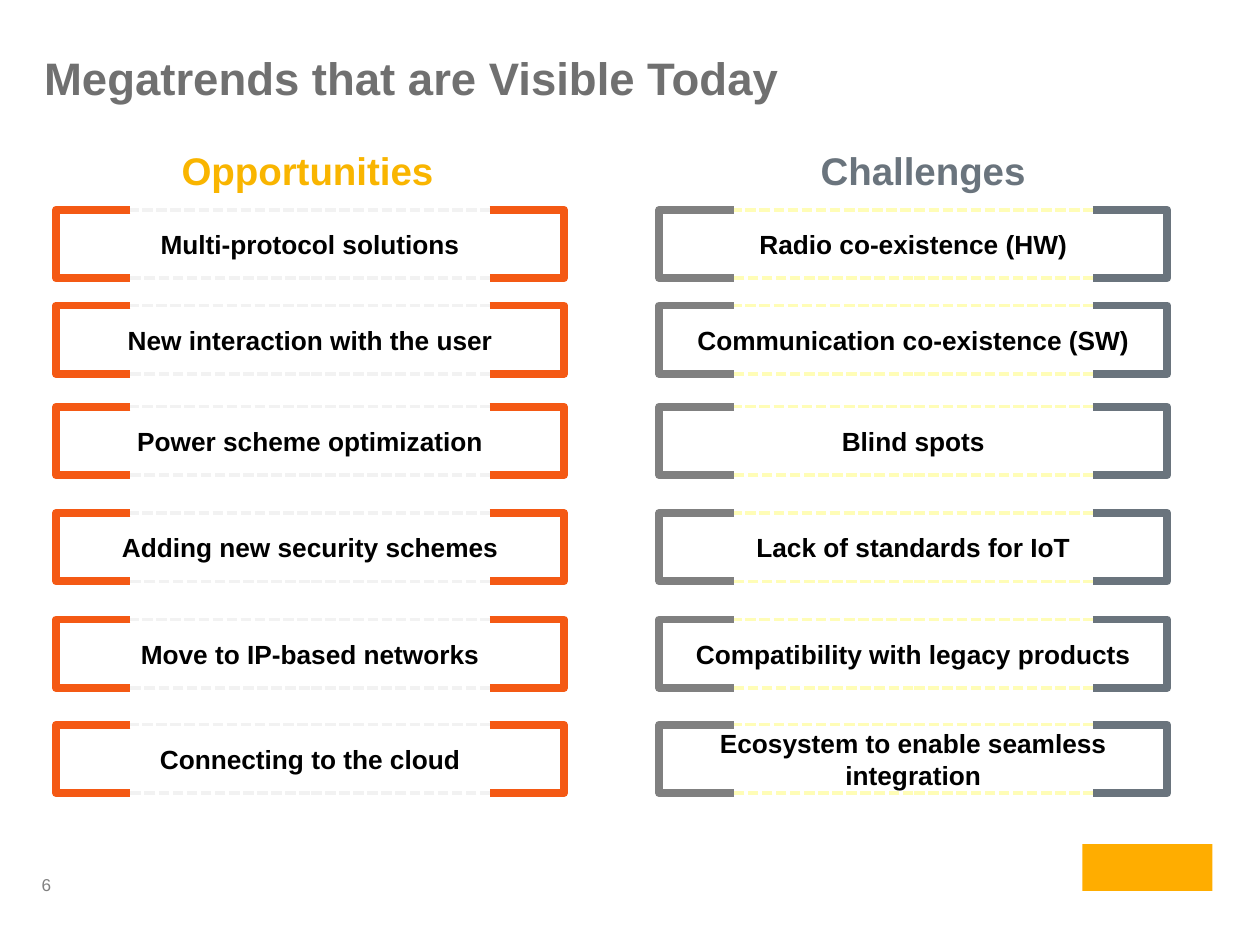
import pptx
import pptx.util
import pptx.dml.color
import pptx.enum.dml
import pptx.enum.shapes
import pptx.enum.text
import lxml.etree
from pptx.util import Cm

TITLE = "Megatrends that are Visible Today"
PAGE_NUMBER = "6"
COLORS = {
    "title": "707070", "page": "808080", "label": "000000", "emblem": "FFAD00",
    "gold": "F9B500", "slate": "6A747D", "orange": "F45914", "gray": "808080",
    "pale gray": "F2F2F2", "pale yellow": "FFFDB7",
}
# Left edge, heading box (left, width), colours and labels, in cm
COLUMNS = [
    {"heading": "Opportunities", "heading_box": (2.49, 7.42), "left": 1.13,
     "heading_color": "gold", "dash": "pale gray", "brackets": ("orange", "orange"),
     "items": ["Multi-protocol solutions", "New interaction with the user",
               "Power scheme optimization", "Adding new security schemes",
               "Move to IP-based networks", "Connecting to the cloud"]},
    {"heading": "Challenges", "heading_box": (14.1, 9.02), "left": 13.29,
     "heading_color": "slate", "dash": "pale yellow", "brackets": ("gray", "slate"),
     "items": ["Radio co-existence (HW)", "Communication co-existence (SW)",
               "Blind spots", "Lack of standards for IoT",
               "Compatibility with legacy products",
               "Ecosystem to enable seamless integration"]},
]
ROW_TOPS = [4.23, 6.16, 8.2, 10.34, 12.49, 14.61]
ITEM_WIDTH, ITEM_HEIGHT, BRACKET_WIDTH = 10.24, 1.38, 1.5

ALIGN = pptx.enum.text.PP_ALIGN
ANCHOR = pptx.enum.text.MSO_ANCHOR
SHAPES = pptx.enum.shapes.MSO_SHAPE


def rgb(name):
    return pptx.dml.color.RGBColor.from_string(COLORS[name])


def write(shape, text, size, color, bold=True, align=ALIGN.CENTER, anchor=ANCHOR.MIDDLE):
    frame = shape.text_frame
    frame.word_wrap = True
    frame.vertical_anchor = anchor
    frame.text = text
    paragraph = frame.paragraphs[0]
    paragraph.alignment = align
    font = paragraph.runs[0].font
    font.name, font.size, font.bold = "Arial", pptx.util.Pt(size), bold
    font.color.rgb = rgb(color)
    return frame


def add_text(slide, box, text, size, color, **style):
    return write(slide.shapes.add_textbox(*map(Cm, box)), text, size, color, **style)


def add_item(slide, left, top, text, dash):
    item = slide.shapes.add_shape(
        SHAPES.RECTANGLE, Cm(left), Cm(top), Cm(ITEM_WIDTH), Cm(ITEM_HEIGHT))
    item.shadow.inherit = False
    item.fill.background()
    item.line.color.rgb = rgb(dash)
    item.line.width = pptx.util.Pt(2)
    item.line.dash_style = pptx.enum.dml.MSO_LINE.SQUARE_DOT
    write(item, text, 15, "label")


def add_bracket(slide, edge, inner, top, color):
    bottom = top + ITEM_HEIGHT
    builder = slide.shapes.build_freeform(Cm(inner), Cm(top))
    builder.add_line_segments(
        [(Cm(edge), Cm(top)), (Cm(edge), Cm(bottom)), (Cm(inner), Cm(bottom))], close=False)
    bracket = builder.convert_to_shape()
    bracket.shadow.inherit = False
    bracket.fill.background()
    bracket.line.color.rgb = rgb(color)
    bracket.line.width = pptx.util.Pt(4.5)
    # Rounded corners
    outline = bracket.line.fill._xPr
    lxml.etree.SubElement(outline, pptx.oxml.ns.qn("a:round"))


def main():
    deck = pptx.Presentation()
    deck.slide_width, deck.slide_height = Cm(25.4), Cm(19.05)
    slide = deck.slides.add_slide(deck.slide_layouts[6])

    # Title and page number
    title = add_text(slide, (0.64, 0.79, 24.31, 1.83), TITLE, 26, "title",
                     align=ALIGN.LEFT, anchor=ANCHOR.TOP)
    title.margin_top = Cm(0.22)
    page = add_text(slide, (0.69, 17.45, 1.24, 0.76), PAGE_NUMBER, 9.8, "page",
                    bold=False, align=ALIGN.LEFT)
    page.margin_left = page.margin_right = Cm(0.15)
    page.margin_top = page.margin_bottom = Cm(0.08)

    # Plain block in the emblem's place
    emblem = slide.shapes.add_shape(
        SHAPES.RECTANGLE, Cm(21.82), Cm(17.02), Cm(2.62), Cm(0.94))
    emblem.shadow.inherit = False
    emblem.fill.solid()
    emblem.fill.fore_color.rgb = rgb("emblem")
    emblem.line.fill.background()

    # Two columns of bracketed items
    for column in COLUMNS:
        heading_left, heading_width = column["heading_box"]
        heading = add_text(slide, (heading_left, 2.74, heading_width, 1.25),
                           column["heading"], 22, column["heading_color"], anchor=ANCHOR.TOP)
        heading.margin_top = Cm(0.22)
        left = column["left"]
        right = left + ITEM_WIDTH
        left_color, right_color = column["brackets"]
        for top, text in zip(ROW_TOPS, column["items"]):
            add_item(slide, left, top, text, column["dash"])
            add_bracket(slide, left, left + BRACKET_WIDTH, top, left_color)
            add_bracket(slide, right, right - BRACKET_WIDTH, top, right_color)

    deck.save("out.pptx")


if __name__ == "__main__":
    main()
